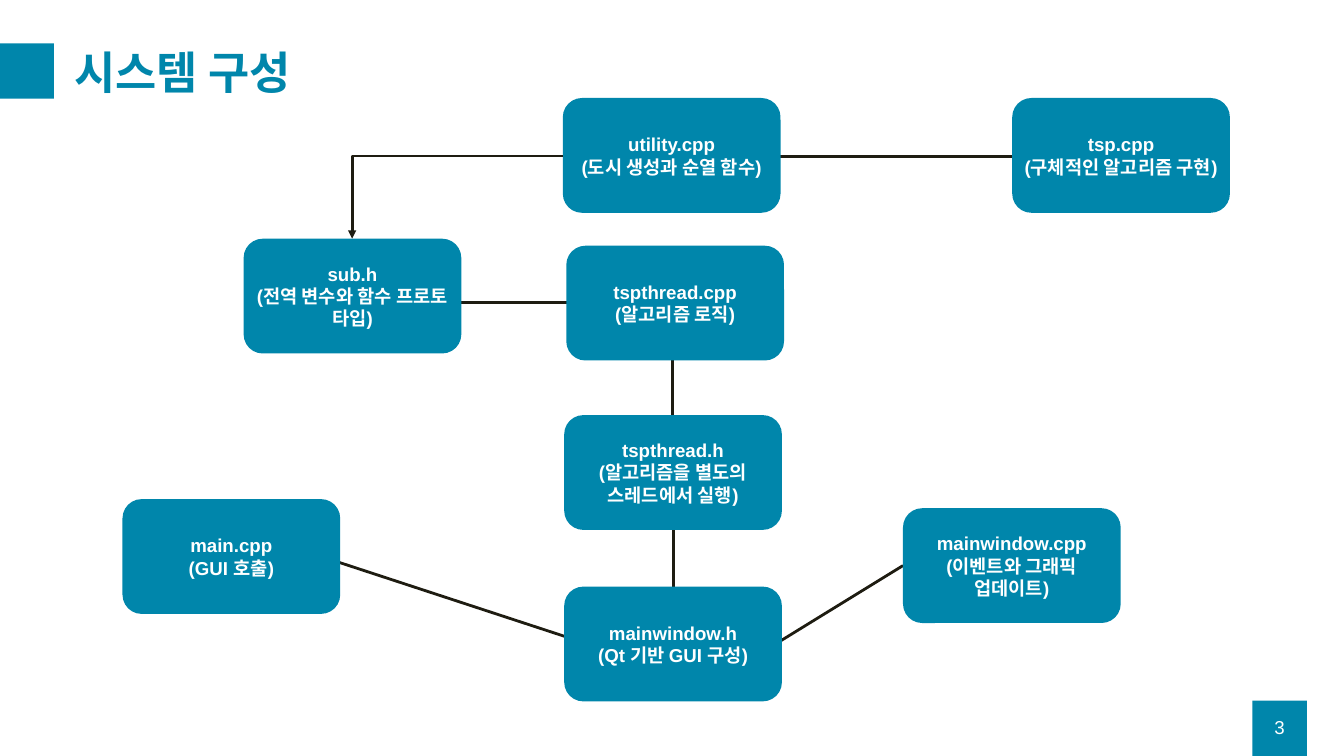
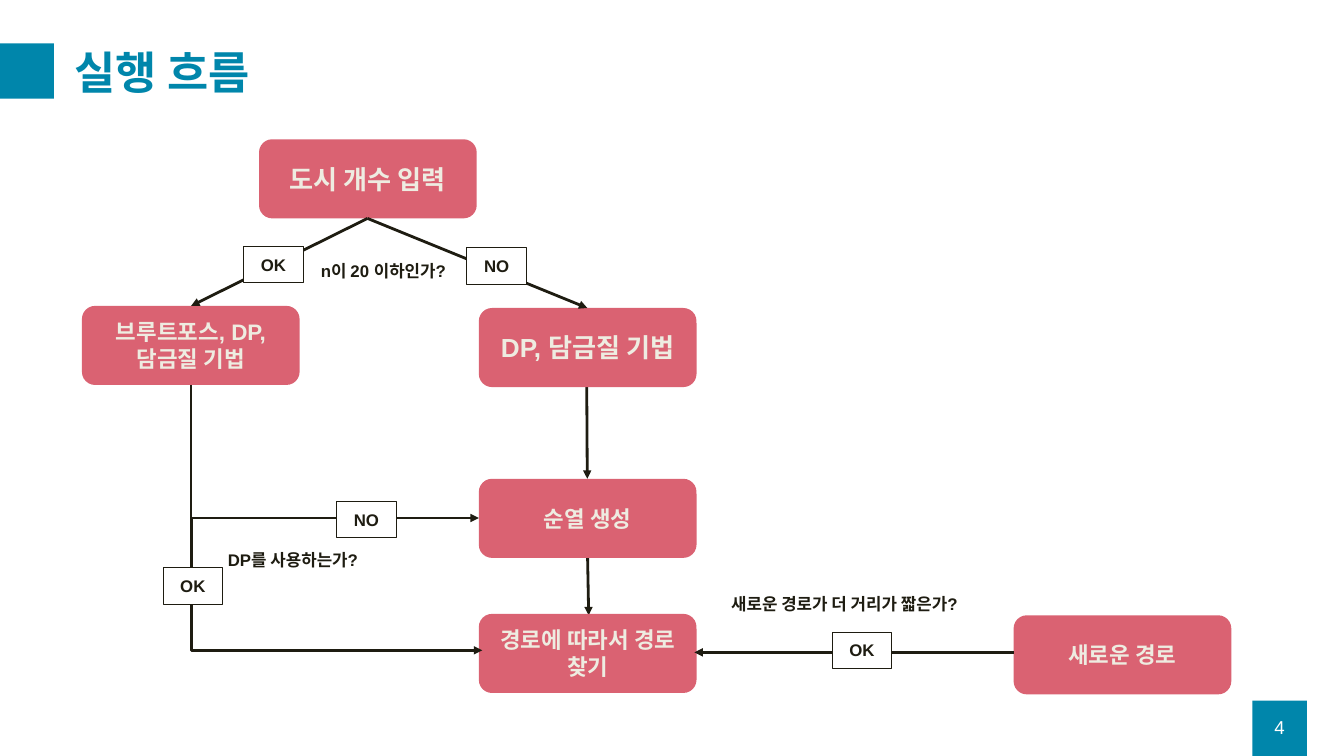
from lxml.etree import SubElement
from pptx import Presentation
from pptx.dml.color import RGBColor
from pptx.enum.shapes import MSO_CONNECTOR as Connector, MSO_SHAPE as Shape
from pptx.enum.text import MSO_ANCHOR as Anchor, MSO_AUTO_SIZE as AutoSize, PP_ALIGN as Align
from pptx.oxml.ns import qn
from pptx.util import Pt

PX = 9525  # one px in EMU, 96 px to the inch

TEAL = RGBColor(0x00, 0x86, 0xAB)
ROSE = RGBColor(0xDA, 0x62, 0x72)
CREAM = RGBColor(0xEE, 0xEC, 0xE1)
INK = RGBColor(0x1E, 0x1C, 0x11)
WHITE = RGBColor(0xFF, 0xFF, 0xFF)

# Box styles: a style without a shape is a text box
ROUND, RECT = Shape.ROUNDED_RECTANGLE, Shape.RECTANGLE
BAND = dict(shape=RECT, width=78, height=79, fill=TEAL)
NUMBER = dict(width=78, height=58, color=WHITE, size=20, bold=False)
MODULE = dict(shape=ROUND, width=311, height=164, fill=TEAL, color=WHITE, size=20)
STEP = dict(shape=ROUND, width=311, height=113, fill=ROSE, color=CREAM, size=24)
BIG_STEP = {**STEP, "size": 28}
TAG = dict(shape=RECT, width=85, height=52, fill=WHITE, border=INK, color=INK, size=18)
CAPTION = dict(width=395, height=38, color=INK, size=18, align=Align.LEFT, anchor=Anchor.TOP)

# Elbow routes: frame rotation and flip
ACROSS_THEN_DOWN = (180, "flipV")
DOWN_THEN_ACROSS = (270, "flipH")


def add_box(page, style, left, top, text=""):
    place = [n * PX for n in (left, top, style["width"], style["height"])]
    if "shape" in style:
        box = page.shapes.add_shape(style["shape"], *place)
        box.shadow.inherit = False
        box.fill.solid()
        box.fill.fore_color.rgb = style["fill"]
        if "border" in style:
            box.line.color.rgb = style["border"]
            box.line.width = Pt(1)
        else:
            box.line.fill.background()
    else:
        box = page.shapes.add_textbox(*place)
    if text:
        frame = box.text_frame
        frame.text = text
        frame.word_wrap = True
        frame.vertical_anchor = style.get("anchor", Anchor.MIDDLE)
        looks = dict(name="Arial", size=Pt(style["size"]), bold=style.get("bold", True))
        for para in frame.paragraphs:
            para.alignment = style.get("align", Align.CENTER)
            for span in para.runs:
                span.font.color.rgb = style["color"]
                for name, value in looks.items():
                    setattr(span.font, name, value)
    return box


def add_arrow(page, x1, y1, x2, y2, route=None):
    if route:
        (x1, x2), (y1, y2) = sorted((x1, x2)), sorted((y1, y2))
        if route == DOWN_THEN_ACROSS:  # the unrotated frame is turned about its centre
            middle_x, middle_y = (x1 + x2) / 2, (y1 + y2) / 2
            half_width, half_height = (y2 - y1) / 2, (x2 - x1) / 2
            x1, x2 = middle_x - half_width, middle_x + half_width
            y1, y2 = middle_y - half_height, middle_y + half_height
    ends = [int(n * PX) for n in (x1, y1, x2, y2)]
    arrow = page.shapes.add_connector(Connector.STRAIGHT, *ends)
    arrow.line.color.rgb = INK
    arrow.line.width = Pt(3)
    outline = arrow.element.spPr
    SubElement(outline.find(qn("a:ln")), qn("a:tailEnd"), type="triangle")
    SubElement(outline, qn("a:effectLst"))
    if route:
        rotation, flip = route
        outline.find(qn("a:prstGeom")).set("prst", "bentConnector2")
        outline.find(qn("a:xfrm")).set("rot", str(rotation * 60000))
        outline.find(qn("a:xfrm")).set(flip, "1")


# Page contents, from back to front
PAGES = [
    dict(
        number="3",
        title="시스템 구성",
        arrows_behind=[
            (961, 489, 961, 653),
            (962, 757, 962, 921),
            (474, 800, 843, 921),
            (1290, 808, 1077, 939),
            (1471, 224, 1077, 224),
            (659, 432, 973, 432),
        ],
        boxes=[
            (MODULE, 806, 838, "mainwindow.h\n(Qt 기반 GUI 구성)"),
            (MODULE, 804, 140, "utility.cpp\n(도시 생성과 순열 함수)"),
            (MODULE, 1446, 140, "tsp.cpp\n(구체적인 알고리즘 구현)"),
            (MODULE, 348, 341, "sub.h\n(전역 변수와 함수 프로토 타입)"),
            (MODULE, 175, 713, "main.cpp\n(GUI 호출)"),
            (MODULE, 806, 593, "tspthread.h\n(알고리즘을 별도의 스레드에서 실행)"),
            (MODULE, 1290, 726, "mainwindow.cpp\n(이벤트와 그래픽 업데이트)"),
            (MODULE, 809, 351, "tspthread.cpp\n(알고리즘 로직)"),
        ],
        arrows_in_front=[(804, 223, 503, 341, ACROSS_THEN_DOWN)],
        labels=[],
    ),
    dict(
        number="4",
        title="실행 흐름",
        arrows_behind=[(838, 722, 841, 879), (838, 520, 839, 684)],
        boxes=[
            (BIG_STEP, 370, 199, "도시 개수 입력"),
            (STEP, 684, 877, "경로에 따라서 경로 찾기"),
            (BIG_STEP, 684, 440, "DP, 담금질 기법"),
            (STEP, 684, 684, "순열 생성"),
            (STEP, 117, 437, "브루트포스, DP, 담금질 기법"),
            (STEP, 1448, 879, "새로운 경로"),
        ],
        arrows_in_front=[
            (525, 312, 839, 440),
            (525, 312, 273, 437),
            (273, 550, 684, 740, DOWN_THEN_ACROSS),
            (273, 739, 689, 929, DOWN_THEN_ACROSS),
            (1448, 932, 992, 932),
        ],
        labels=[
            (CAPTION, 449, 368, "n이 20 이하인가?"),
            (CAPTION, 316, 781, "DP를 사용하는가?"),
            (CAPTION, 1035, 843, "새로운 경로가 더 거리가 짧은가?"),
            (TAG, 348, 352, "OK"),
            (TAG, 667, 354, "NO"),
            (TAG, 481, 716, "NO"),
            (TAG, 233, 811, "OK"),
            (TAG, 1189, 903, "OK"),
        ],
    ),
]

deck = Presentation()
deck.slide_width, deck.slide_height = 1920 * PX, 1080 * PX
layout = deck.slide_layouts.get_by_name("Title Only")
pages = [deck.slides.add_slide(layout) for _ in PAGES]

# Teal bands, moved to the shared layout
for band_id, (left, top) in enumerate([(1789, 1001), (-1, 62)], start=20):
    band = add_box(pages[0], BAND, left, top)
    band.element.nvSpPr.cNvPr.set("id", str(band_id))
    layout.shapes.element.append(band.element)

for page, content in zip(pages, PAGES):
    # Title
    title = page.shapes.title
    place = dict(left=97, top=50, width=1752, height=113)
    for name, value in place.items():
        setattr(title, name, value * PX)
    title.text_frame.text = content["title"]
    title.text_frame.auto_size = AutoSize.NONE
    title.text_frame.vertical_anchor = Anchor.MIDDLE
    para = title.text_frame.paragraphs[0]
    para.alignment, para.line_spacing = Align.LEFT, 0.9
    span = para.runs[0]
    span.font.color.rgb = TEAL
    for name, value in dict(name="Arial", size=Pt(48), bold=True).items():
        setattr(span.font, name, value)

    # Page number
    add_box(page, NUMBER, 1789, 1010, content["number"])

    # Diagram
    for arrow in content["arrows_behind"]:
        add_arrow(page, *arrow)
    for box in content["boxes"]:
        add_box(page, *box)
    for arrow in content["arrows_in_front"]:
        add_arrow(page, *arrow)
    for label in content["labels"]:
        add_box(page, *label)

deck.save("out.pptx")
